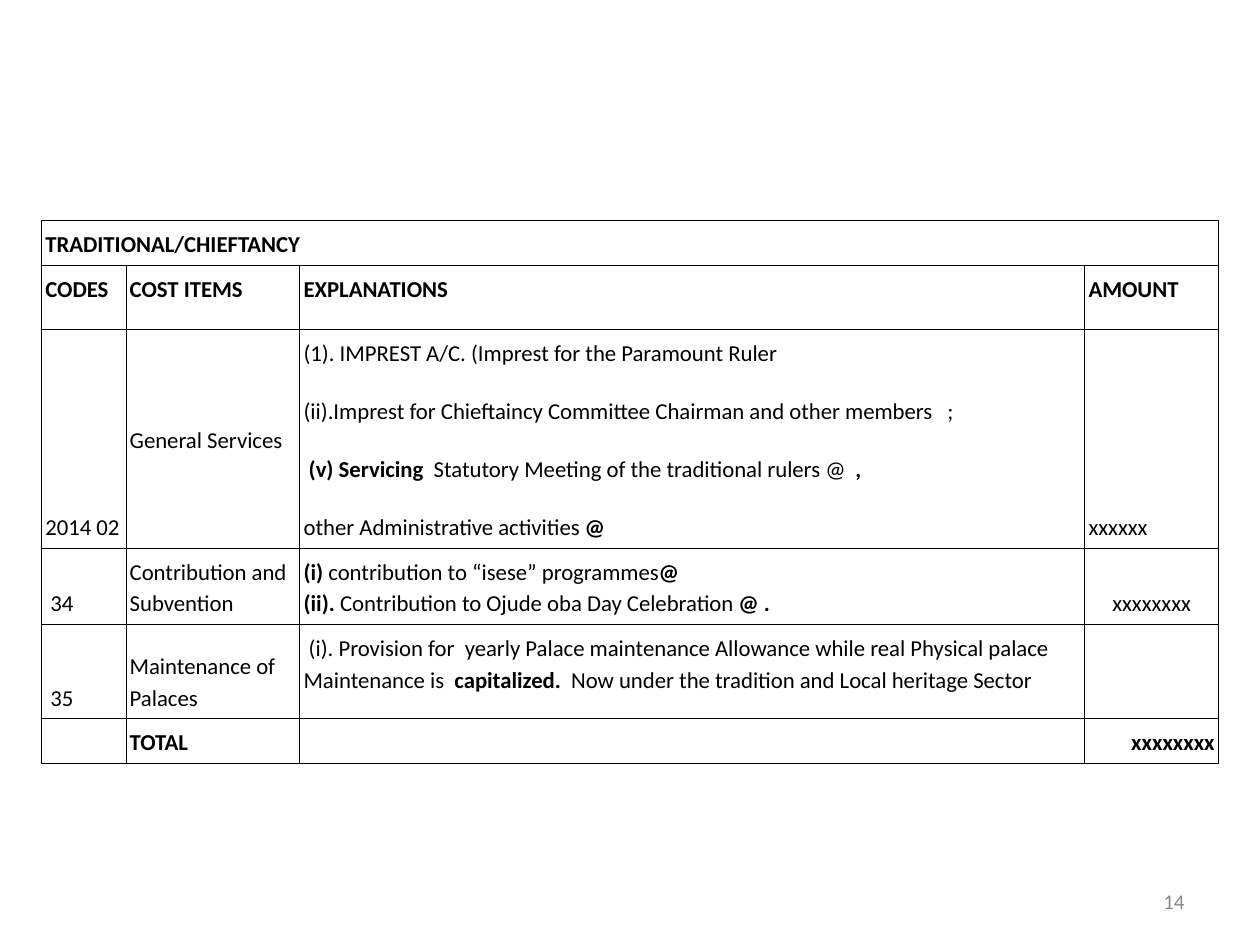
from lxml import etree
from pptx import Presentation
from pptx import util as u
from pptx.dml.color import RGBColor
from pptx.enum import text
from pptx.oxml import ns

COLORS = {"ink": "000000", "number": "898989"}
FONT = "Calibri"
TOP, MIDDLE, BOTTOM = (text.MSO_ANCHOR.TOP, text.MSO_ANCHOR.MIDDLE,
                       text.MSO_ANCHOR.BOTTOM)
LEFT, CENTER, RIGHT = (text.PP_ALIGN.LEFT, text.PP_ALIGN.CENTER,
                       text.PP_ALIGN.RIGHT)

COLUMNS = [0.67, 1.38, 6.23, 1.06]
ROWS = [0.26, 0.51, 1.62, 0.51, 0.75, 0.26]


def bold(words):
    return words, True


def entry(*paragraphs, anchor=BOTTOM, align=LEFT, tabs=()):
    """Describe a cell; a paragraph is a string or a list of spans."""
    return {"paragraphs": paragraphs, "anchor": anchor, "align": align,
            "tabs": tabs}


def heading(words):
    return entry([bold(words)], anchor=TOP)


CELLS = [
    [heading("TRADITIONAL/CHIEFTANCY"), entry(), entry(), entry()],
    [heading(words) for words in
     ("CODES", "COST ITEMS", "EXPLANATIONS", "AMOUNT")],
    [entry("2014 02"),
     entry("General Services", anchor=MIDDLE),
     entry("(1). IMPREST A/C. (Imprest for the Paramount Ruler",
           "(ii).Imprest for Chieftaincy Committee Chairman and other members\t;",
           [" ", bold("(v) Servicing "),
            " Statutory Meeting of the traditional rulers @\t", bold(",")],
           ["other Administrative activities ", bold("@")],
           tabs=(4.38, 5.11)),
     entry("xxxxxx")],
    [entry(" 34"),
     entry("Contribution and Subvention"),
     entry([bold("(i)"), " contribution to “isese” programmes", bold("@")],
           [bold("(ii). "), "Contribution to Ojude oba Day Celebration ",
            bold("@ .")]),
     entry("xxxxxxxx", align=CENTER)],
    [entry(" 35"),
     entry("Maintenance of Palaces"),
     entry([" (i). Provision for  yearly Palace maintenance Allowance while "
            "real Physical palace Maintenance is  ", bold("capitalized.  "),
            "Now under the tradition and Local heritage Sector"], anchor=TOP),
     entry()],
    [entry(), entry([bold("TOTAL")]), entry(),
     entry([bold("xxxxxxxx")], align=RIGHT)],
]


def write(frame, paragraphs, size=13, color="ink", align=LEFT, line=1.15,
          before=0, after=0, tabs=()):
    """Fill a text frame with paragraphs of plain and bold spans."""
    for index, spans in enumerate(paragraphs):
        para = frame.add_paragraph() if index else frame.paragraphs[0]
        para.alignment = align
        para.line_spacing = line
        para.space_before = u.Pt(before if index else 0)
        para.space_after = u.Pt(after)
        if tabs:
            add_tabs(para, tabs)
        for span in [spans] if isinstance(spans, str) else spans:
            words, strong = (span, False) if isinstance(span, str) else span
            run = para.add_run()
            run.text = words
            run.font.name = FONT
            run.font.size = u.Pt(size)
            run.font.bold = strong
            run.font.color.rgb = RGBColor.from_string(COLORS[color])
    if not paragraphs:
        # An empty cell needs the small size too, or its row grows
        etree.SubElement(frame.paragraphs[0]._p, ns.qn("a:endParaRPr"),
                         sz=str(size * 100))


def add_tabs(para, stops):
    tab_list = etree.SubElement(para._p.get_or_add_pPr(), ns.qn("a:tabLst"))
    for stop in stops:
        etree.SubElement(tab_list, ns.qn("a:tab"),
                         pos=str(u.Inches(stop)), algn="l")


def add_borders(cell):
    properties = cell._tc.get_or_add_tcPr()
    for index, side in enumerate(("lnL", "lnR", "lnT", "lnB")):
        border = etree.Element(ns.qn("a:" + side), w=str(u.Pt(0.45)))
        fill = etree.SubElement(border, ns.qn("a:solidFill"))
        etree.SubElement(fill, ns.qn("a:srgbClr"), val=COLORS["ink"])
        properties.insert(index, border)


def add_budget_table(page):
    frame = page.shapes.add_table(
        len(ROWS), len(COLUMNS), u.Inches(0.33), u.Inches(1.75),
        u.Inches(sum(COLUMNS)), u.Inches(sum(ROWS)))
    table = frame.table
    table.first_row = table.horz_banding = False
    for column, width in zip(table.columns, COLUMNS):
        column.width = u.Inches(width)
    for row, height in zip(table.rows, ROWS):
        row.height = u.Inches(height)
    table.cell(0, 0).merge(table.cell(0, len(COLUMNS) - 1))

    for r, row in enumerate(CELLS):
        # The heading rows and the first item are widely spaced
        before, after = (12, 3) if r < 3 else (0, 0)
        for c, content in enumerate(row):
            cell = table.cell(r, c)
            cell.fill.background()
            cell.margin_left = cell.margin_right = u.Inches(0.03)
            cell.margin_top = cell.margin_bottom = u.Inches(0.05)
            cell.vertical_anchor = content["anchor"]
            add_borders(cell)
            write(cell.text_frame, content["paragraphs"],
                  align=content["align"], tabs=content["tabs"],
                  before=before, after=after)


def add_page_number(page, number):
    box = page.shapes.add_textbox(u.Inches(7.17), u.Inches(6.95),
                                  u.Inches(2.33), u.Inches(0.4))
    box.text_frame.word_wrap = True
    box.text_frame.vertical_anchor = MIDDLE
    write(box.text_frame, [number], size=12, color="number", align=RIGHT,
          line=1.0)


def main():
    deck = Presentation()
    deck.slide_width, deck.slide_height = u.Inches(10), u.Inches(7.5)
    page = deck.slides.add_slide(deck.slide_layouts[6])
    add_budget_table(page)
    add_page_number(page, "14")
    deck.save("out.pptx")


if __name__ == "__main__":
    main()
